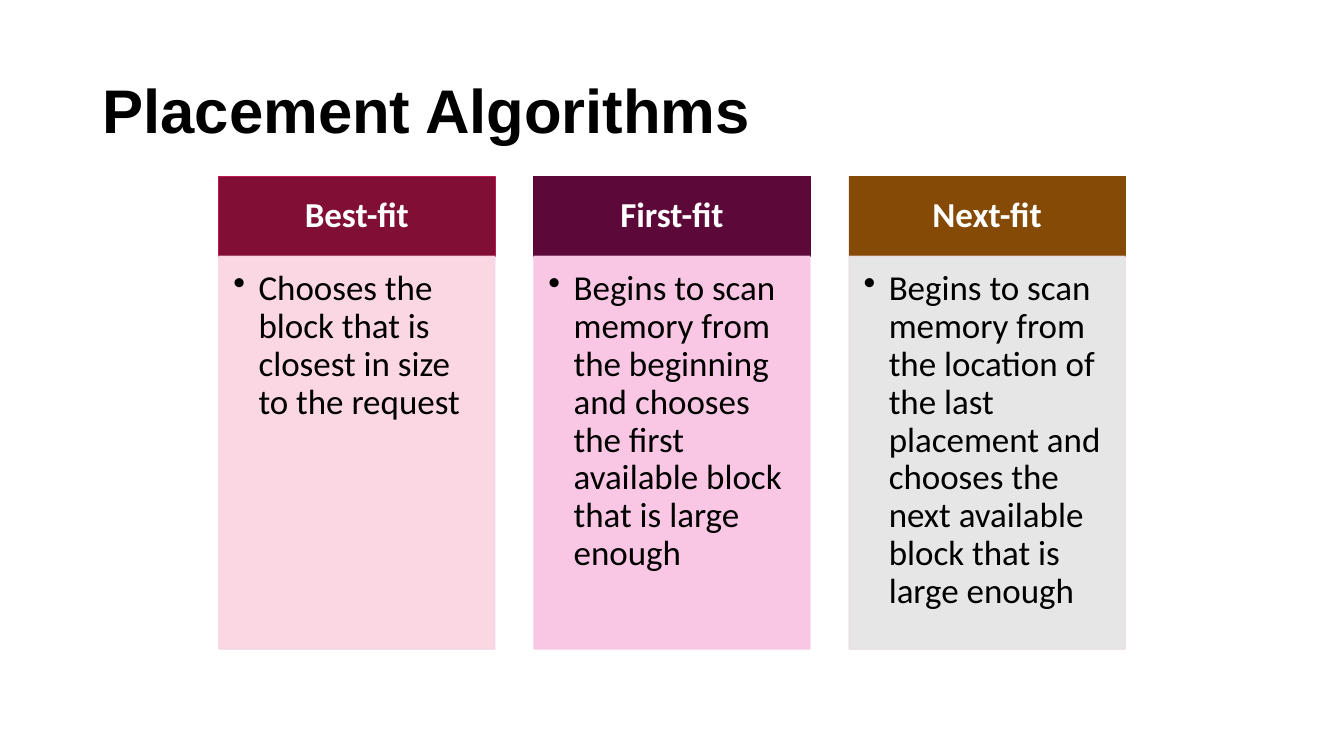
"""Build a slide that compares three memory placement algorithms."""
from dataclasses import dataclass

from lxml import etree
from pptx import Presentation
from pptx.dml.color import RGBColor
from pptx.enum.shapes import MSO_SHAPE
from pptx.enum.text import MSO_ANCHOR, MSO_AUTO_SIZE, PP_ALIGN
from pptx.oxml.ns import qn
from pptx.util import Pt

RECT = MSO_SHAPE.RECTANGLE
TOP, MIDDLE = MSO_ANCHOR.TOP, MSO_ANCHOR.MIDDLE
LEFT, CENTER = PP_ALIGN.LEFT, PP_ALIGN.CENTER
NO_FIT = MSO_AUTO_SIZE.NONE


@dataclass(frozen=True)
class Theme:
    dark: str = "000000"
    light: str = "FFFFFF"
    edge: str = "EDCFE3"
    head: str = "Arial"
    body: str = "Calibri"
    big: int = 44
    mid: int = 25


CARDS = [
    ("Best-fit", "810F35", "C11650", "FAD7E3",
     "Chooses the block that is closest in size to the request"),
    ("First-fit", "5C0939", "5C0939", "F9C7E4",
     "Begins to scan memory from the beginning and chooses the first "
     "available block that is large enough"),
    ("Next-fit", "854A05", "854A05", "E6E6E6",
     "Begins to scan memory from the location of the last placement and "
     "chooses the next available block that is large enough"),
]
START, STEP, WIDTH = 156.2, 225.1, 197.4
HEAD_TOP, HEAD_HIGH, BODY_HIGH = 126, 56.9, 280.9


def apply(item, style):
    for name, value in style.items():
        setattr(item, name, value)


class Deck:
    def __init__(self, theme):
        self.theme = theme
        self.file = Presentation()
        apply(self.file, {"slide_width": Pt(960), "slide_height": Pt(540)})
        self.slide = self.file.slides.add_slide(self.file.slide_layouts[5])

    def label(self, shape, text, color, font, frame, align, bullet=False):
        box = shape.text_frame
        apply(box, {"word_wrap": True, "auto_size": NO_FIT, **frame})
        box.text = text
        para = box.paragraphs[0]
        apply(para, {"alignment": align, "line_spacing": 0.9})
        if bullet:
            para.level = 1
            props = para._p.get_or_add_pPr()
            props.set("marL", str(Pt(18)))
            props.set("indent", str(Pt(-18)))
            etree.SubElement(props, qn("a:buChar"), char="•")
        apply(para.font, font)
        para.font.color.rgb = RGBColor.from_string(color)
        apply(para.runs[0].font, font)
        para.runs[0].font.color.rgb = RGBColor.from_string(color)

    def title(self, text):
        shape = self.slide.shapes.title
        apply(shape, {"left": Pt(66), "top": Pt(28.75),
                      "width": Pt(828), "height": Pt(104.4)})
        font = {"name": self.theme.head, "size": Pt(self.theme.big),
                "bold": True}
        self.label(shape, text, self.theme.dark, font,
                   {"vertical_anchor": MIDDLE}, LEFT)

    def rect(self, x, y, high, fill, edge):
        shape = self.slide.shapes.add_shape(
            RECT, Pt(x), Pt(y), Pt(WIDTH), Pt(high))
        shape.shadow.inherit = False
        shape.fill.solid()
        shape.fill.fore_color.rgb = RGBColor.from_string(fill)
        shape.line.color.rgb = RGBColor.from_string(edge)
        shape.line.width = Pt(0.5)
        return shape

    def header(self, x, text, fill, edge):
        shape = self.rect(x, HEAD_TOP, HEAD_HIGH, fill, edge)
        font = {"name": self.theme.body, "size": Pt(self.theme.mid),
                "bold": True}
        frame = {"vertical_anchor": MIDDLE,
                 "margin_left": Pt(14), "margin_right": Pt(14),
                 "margin_top": Pt(8), "margin_bottom": Pt(8)}
        self.label(shape, text, self.theme.light, font, frame, CENTER)

    def detail(self, x, text, fill):
        shape = self.rect(x, HEAD_TOP + HEAD_HIGH, BODY_HIGH, fill,
                          self.theme.edge)
        tint = shape.line._ln.find(".//" + qn("a:srgbClr"))
        etree.SubElement(tint, qn("a:alpha"), val="90000")
        font = {"name": self.theme.body, "size": Pt(self.theme.mid)}
        frame = {"vertical_anchor": TOP,
                 "margin_left": Pt(10.5), "margin_right": Pt(14),
                 "margin_top": Pt(10.5), "margin_bottom": Pt(16)}
        self.label(shape, text, self.theme.dark, font, frame, LEFT,
                   bullet=True)


def main():
    deck = Deck(Theme())
    deck.title("Placement Algorithms")
    for index, (name, fill, edge, pale, text) in enumerate(CARDS):
        x = START + index * STEP
        deck.header(x, name, fill, edge)
        deck.detail(x, text, pale)
    deck.file.save("out.pptx")


if __name__ == "__main__":
    main()
